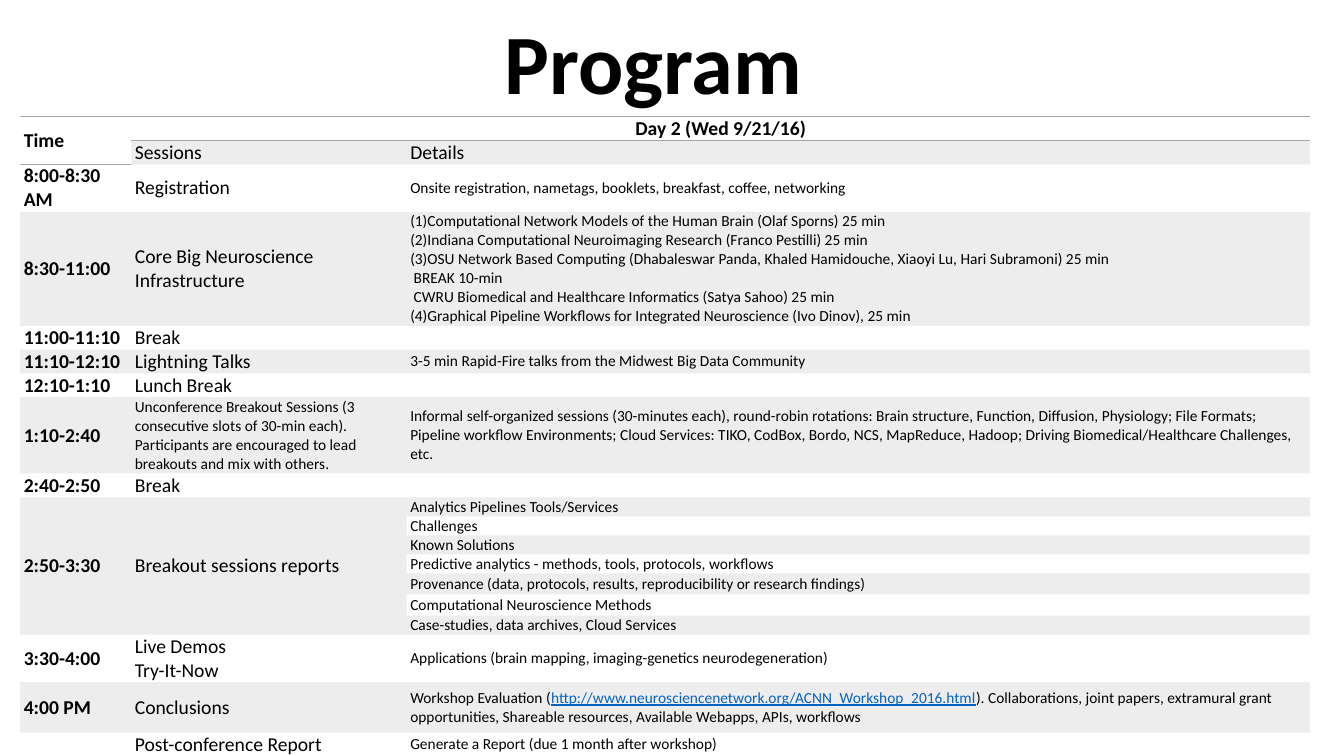
from dataclasses import dataclass

from lxml.etree import SubElement as sub
from pptx import Presentation as Deck
from pptx.dml.color import RGBColor as Rgb
from pptx.enum.text import MSO_ANCHOR as Anchor, PP_ALIGN as Align
from pptx.oxml.ns import qn
from pptx.util import Cm, Pt


@dataclass(frozen=True)
class Theme:
    font: str = "Calibri"
    ink: str = "000000"
    link: str = "0563C1"
    gray: str = "A5A5A5"
    head: float = 60.3
    large: int = 14
    small: int = 11
    tint: int = 20000


@dataclass(frozen=True)
class Line:
    """One paragraph; start turns on numbering counted from that value."""
    text: str
    start: int = 0
    link: str = ""
    tail: str = ""


@dataclass(frozen=True)
class Row:
    high: float
    time: str = ""
    topic: tuple = ()
    notes: tuple = ()
    size: int = Theme.large


def one(text: str, **more) -> tuple:
    return (Line(text, **more),)


THEME = Theme()
WIDTHS = (2.8, 6.94, 22.77)
REPORT = 9
SPAN = 7
ROWS = [
    Row(0.6, "Time", one("Day 2 (Wed 9/21/16)")),
    Row(0.6, "", one("Sessions"), one("Details")),
    Row(1.2, "8:00-8:30 AM", one("Registration"),
        one("Onsite registration, nametags, booklets, breakfast, coffee, networking")),
    Row(2.87, "8:30-11:00", one("Core Big Neuroscience Infrastructure"), (
        Line("Computational Network Models of the Human Brain (Olaf Sporns) 25 min", 1),
        Line("Indiana Computational Neuroimaging Research (Franco Pestilli) 25 min", 1),
        Line("OSU Network Based Computing (Dhabaleswar Panda, Khaled Hamidouche, "
             "Xiaoyi Lu, Hari Subramoni) 25 min", 1),
        Line(" BREAK 10-min"),
        Line(" CWRU Biomedical and Healthcare Informatics (Satya Sahoo) 25 min"),
        Line("Graphical Pipeline Workflows for Integrated Neuroscience (Ivo Dinov), 25 min", 4))),
    Row(0.6, "11:00-11:10", one("Break")),
    Row(0.6, "11:10-12:10", one("Lightning Talks"),
        one("3-5 min Rapid-Fire talks from the Midwest Big Data Community")),
    Row(0.6, "12:10-1:10", one("Lunch Break")),
    Row(1.92, "1:10-2:40",
        one("Unconference Breakout Sessions (3 consecutive slots of 30-min each). "
            "Participants are encouraged to lead breakouts and mix with others."),
        one("Informal self-organized sessions (30-minutes each), round-robin rotations: "
            "Brain structure, Function, Diffusion, Physiology; File Formats; Pipeline "
            "workflow Environments; Cloud Services: TIKO, CodBox, Bordo, NCS, MapReduce, "
            "Hadoop; Driving Biomedical/Healthcare Challenges, etc."), THEME.small),
    Row(0.6, "2:40-2:50", one("Break")),
    Row(0.48, "2:50-3:30", one("Breakout sessions reports"),
        one("Analytics Pipelines Tools/Services")),
    Row(0.48, notes=one("Challenges")),
    Row(0.48, notes=one("Known Solutions")),
    Row(0.48, notes=one("Predictive analytics - methods, tools, protocols, workflows")),
    Row(0.53, notes=one("Provenance (data, protocols, results, reproducibility or "
                        "research findings)")),
    Row(0.53, notes=one("Computational Neuroscience Methods")),
    Row(0.48, notes=one("Case-studies, data archives, Cloud Services")),
    Row(1.2, "3:30-4:00", (Line("Live Demos"), Line("Try-It-Now")),
        one("Applications (brain mapping, imaging-genetics neurodegeneration)")),
    Row(1.27, "4:00 PM", one("Conclusions"),
        one("Workshop Evaluation (",
            link="http://www.neurosciencenetwork.org/ACNN_Workshop_2016.html",
            tail="). Collaborations, joint papers, extramural grant opportunities, "
                 "Shareable resources, Available Webapps, APIs, workflows")),
    Row(0.6, "", one("Post-conference Report"),
        one("Generate a Report (due 1 month after workshop)")),
]


def write(frame, lines: tuple, *, size: float, bold: bool = False,
          align=Align.LEFT, space: float = 1.0) -> None:
    """Fill a text frame with one paragraph per line."""
    frame.word_wrap = True
    for i, line in enumerate(lines):
        para = frame.add_paragraph() if i else frame.paragraphs[0]
        para.alignment = align
        para.line_spacing = space
        if line.start:
            props = para._p.get_or_add_pPr()
            props.set("marL", "0")
            props.set("indent", str(-Cm(0.95)))
            sub(props, qn("a:buFont"), typeface=THEME.font)
            sub(props, qn("a:buAutoNum"), type="arabicParenBoth",
                startAt=str(line.start))
        for part in filter(None, (line.text, line.link, line.tail)):
            run = para.add_run()
            run.text = part
            font = run.font
            font.name, font.size, font.bold = THEME.font, Pt(size), bold
            linked = part == line.link
            font.underline = linked
            font.color.rgb = Rgb.from_string(THEME.link if linked else THEME.ink)
    if not lines:
        sub(frame.paragraphs[0]._p, qn("a:endParaRPr"), sz=str(size * 100))


def shade(cell, on: bool) -> None:
    if not on:
        cell.fill.background()
        return
    cell.fill.solid()
    cell.fill.fore_color.rgb = Rgb.from_string(THEME.gray)
    color = cell._tc.tcPr.find(".//" + qn("a:srgbClr"))
    sub(color, qn("a:alpha"), val=str(THEME.tint))


def rule(cell, *sides: str) -> None:
    """Draw gray borders on the sides, named T and B in that order."""
    props = cell._tc.get_or_add_tcPr()
    for i, side in enumerate(sides):
        edge = sub(props, qn("a:ln" + side), w=str(Pt(1)))
        color = sub(sub(edge, qn("a:solidFill")), qn("a:srgbClr"))
        color.set("val", THEME.gray)
        props.insert(i, edge)


def title(slide) -> None:
    box = slide.shapes.add_textbox(Cm(1.85), Cm(0.53), Cm(29.21), Cm(2.34))
    box.text_frame.vertical_anchor = Anchor.MIDDLE
    write(box.text_frame, one("Program"), size=THEME.head, bold=True,
          align=Align.CENTER, space=0.9)


def agenda(slide) -> None:
    high = sum(row.high for row in ROWS)
    frame = slide.shapes.add_table(len(ROWS), len(WIDTHS), Cm(0.51), Cm(2.94),
                                   Cm(sum(WIDTHS)), Cm(high))
    table = frame.table
    table.first_row = table.horz_banding = False
    plain = "{2D5ABB26-0587-4C30-8999-92F81FD0307C}"
    table._tbl.tblPr.find(qn("a:tableStyleId")).text = plain
    for col, wide in zip(table.columns, WIDTHS):
        col.width = Cm(wide)
    table.cell(0, 0).merge(table.cell(1, 0))
    table.cell(0, 1).merge(table.cell(0, 2))
    for col in (0, 1):
        table.cell(REPORT, col).merge(table.cell(REPORT + SPAN - 1, col))

    for r, row in enumerate(ROWS):
        table.rows[r].height = Cm(row.high)
        time = one(row.time) if row.time else ()
        sizes = (THEME.large, row.size, THEME.large if r == 1 else THEME.small)
        for c, lines in enumerate((time, row.topic, row.notes)):
            cell = table.cell(r, c)
            cell.vertical_anchor = Anchor.MIDDLE
            cell.margin_left = cell.margin_right = Cm(0.09)
            cell.margin_top = cell.margin_bottom = 0
            day = r == 0 and c == 1
            write(cell.text_frame, lines, size=sizes[c] if lines else THEME.small,
                  bold=c == 0 or day, align=Align.CENTER if day else Align.LEFT)
            shade(cell, r % 2 == 1 and not cell.is_spanned)
    for c in range(len(WIDTHS)):
        rule(table.cell(0, c), "T", "B")
        rule(table.cell(len(ROWS) - 1, c), "B")
    rule(table.cell(1, 0), "B")


def main() -> None:
    deck = Deck()
    deck.slide_width, deck.slide_height = Cm(33.87), Cm(19.05)
    slide = deck.slides.add_slide(deck.slide_layouts[6])
    title(slide)
    agenda(slide)
    deck.save("out.pptx")


if __name__ == "__main__":
    main()
